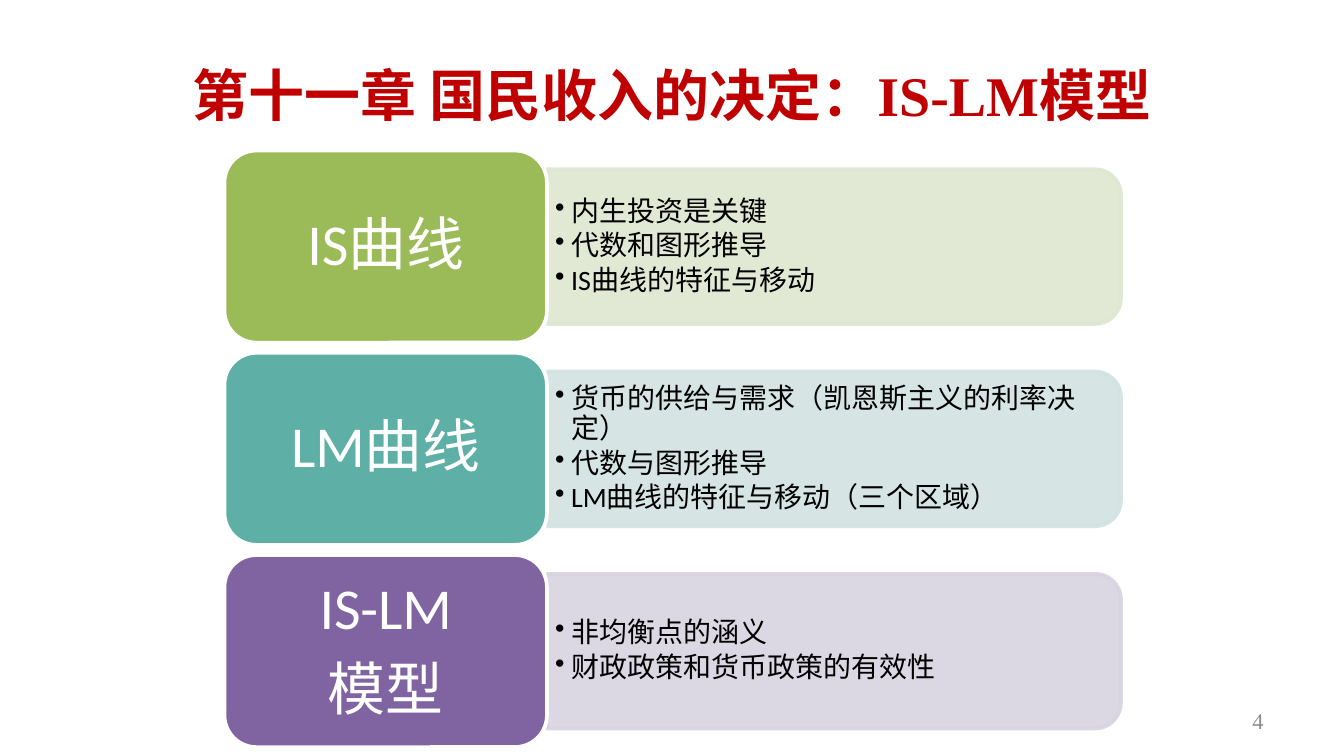
from dataclasses import dataclass

from lxml.etree import SubElement
from pptx import Presentation
from pptx.dml.color import RGBColor
from pptx.enum.shapes import MSO_SHAPE
from pptx.enum.text import MSO_ANCHOR, MSO_AUTO_SIZE, PP_ALIGN
from pptx.oxml.ns import qn
from pptx.util import Pt

PX = 4572  # 200 px to the inch


@dataclass(frozen=True)
class Theme:
    serif: str = "Times New Roman"
    sans: str = "Calibri"
    title: str = "C00000"
    body: str = "000000"
    light: str = "FFFFFF"
    muted: str = "8C8C8C"
    title_size: int = 30
    label_size: int = 31
    body_size: int = 15
    number_size: int = 12
    outline: int = 2
    panel_opacity: int = 90


class SlideBuilder:
    def __init__(self, page, theme):
        self.page = page
        self.theme = theme

    def set_text(self, shape, lines, font, size, color, align, margins=(20, 10),
                 bold=False, spacing=None, after=0):
        """Fill a shape with one paragraph per line; margins are (side, top)."""
        frame = shape.text_frame
        frame.word_wrap = True
        frame.auto_size = MSO_AUTO_SIZE.NONE
        frame.vertical_anchor = MSO_ANCHOR.MIDDLE
        frame.margin_left = frame.margin_right = margins[0] * PX
        frame.margin_top = frame.margin_bottom = margins[1] * PX
        frame.text = "\n".join(lines)
        for para in frame.paragraphs:
            para.alignment = align
            para.line_spacing = spacing
            para.space_after = Pt(after)
            para.font.name = font
            para.font.size = Pt(size)
            para.font.bold = bold
            para.font.color.rgb = RGBColor.from_string(color)
        return frame

    def title(self, text, left, top, width, height):
        box = self.page.shapes.title
        box.left, box.top, box.width, box.height = (
            n * PX for n in (left, top, width, height))
        self.set_text(box, [text], self.theme.serif, self.theme.title_size,
                      self.theme.title, PP_ALIGN.CENTER, bold=True)

    def text_box(self, left, top, width, height):
        return self.page.shapes.add_textbox(
            left * PX, top * PX, width * PX, height * PX)

    def page_number(self, text, left, top, width, height):
        box = self.text_box(left, top, width, height)
        self.set_text(box, [text], self.theme.serif, self.theme.number_size,
                      self.theme.muted, PP_ALIGN.RIGHT)

    def shape(self, kind, left, top, width, height, fill, line):
        shape = self.page.shapes.add_shape(
            kind, left * PX, top * PX, width * PX, height * PX)
        shape.shadow.inherit = False
        shape.fill.solid()
        shape.fill.fore_color.rgb = RGBColor.from_string(fill)
        shape.line.color.rgb = RGBColor.from_string(line)
        shape.line.width = Pt(self.theme.outline)
        return shape

    def panel(self, left, top, width, height, color):
        """Translucent bar with its right corners rounded by a quarter turn."""
        shift = (width - height) // 2
        bar = self.shape(MSO_SHAPE.ROUND_2_SAME_RECTANGLE, left + shift,
                         top - shift, height, width, color, color)
        bar.rotation = 90
        for tint in bar.element.spPr.iter(qn("a:srgbClr")):
            SubElement(tint, qn("a:alpha"),
                       val=str(self.theme.panel_opacity * 1000))

    def bullets(self, lines, left, top, width, height, indent=24):
        box = self.text_box(left, top, width, height)
        frame = self.set_text(box, lines, self.theme.sans, self.theme.body_size,
                              self.theme.body, PP_ALIGN.LEFT, margins=(12, 6),
                              spacing=0.9, after=2.25)
        for para in frame.paragraphs:
            properties = para._p.get_or_add_pPr()
            properties.set("marL", str(indent * PX))
            properties.set("indent", str(-indent * PX))
            bullet = properties.makeelement(qn("a:buChar"), {"char": "•"})
            properties.insert_element_before(
                bullet, "a:tabLst", "a:defRPr", "a:extLst")

    def label(self, lines, left, top, width, height, color):
        block = self.shape(MSO_SHAPE.ROUNDED_RECTANGLE, left, top, width,
                           height, color, self.theme.light)
        self.set_text(block, lines, self.theme.sans, self.theme.label_size,
                      self.theme.light, PP_ALIGN.CENTER, margins=(40, 26),
                      spacing=0.9, after=10)


TOPICS = [
    (["IS曲线"], "9BBB59", "DEE7D1",
     ["内生投资是关键", "代数和图形推导", "IS曲线的特征与移动"]),
    (["LM曲线"], "5EAFA6", "D2E3E2",
     ["货币的供给与需求（凯恩斯主义的利率决定）", "代数与图形推导",
      "LM曲线的特征与移动（三个区域）"]),
    (["IS-LM", "模型"], "8064A2", "D8D3E0",
     ["非均衡点的涵义", "财政政策和货币政策的有效性"]),
]
FIRST_TOP, ROW_PITCH = 224, 301
LABEL_LEFT, LABEL_WIDTH, LABEL_HEIGHT = 334, 480, 286
PANEL_LEFT, PANEL_WIDTH, PANEL_HEIGHT = LABEL_LEFT + LABEL_WIDTH, 854, 230
TEXT_WIDTH, TEXT_HEIGHT = 842, 206


def main():
    deck = Presentation()
    deck.slide_width, deck.slide_height = 2000 * PX, 1125 * PX
    page = deck.slides.add_slide(deck.slide_layouts[5])
    builder = SlideBuilder(page, Theme())

    builder.title("第十一章 国民收入的决定：IS-LM模型", 100, 46, 1800, 188)
    builder.page_number("4", 1434, 1042, 466, 60)
    for row, (name, strong, pale, points) in enumerate(TOPICS):
        top = FIRST_TOP + row * ROW_PITCH
        middle = top + LABEL_HEIGHT // 2
        builder.panel(PANEL_LEFT, middle - PANEL_HEIGHT // 2,
                      PANEL_WIDTH, PANEL_HEIGHT, pale)
        builder.bullets(points, PANEL_LEFT, middle - TEXT_HEIGHT // 2,
                        TEXT_WIDTH, TEXT_HEIGHT)
        builder.label(name, LABEL_LEFT, top, LABEL_WIDTH, LABEL_HEIGHT, strong)

    deck.save("out.pptx")


if __name__ == "__main__":
    main()
